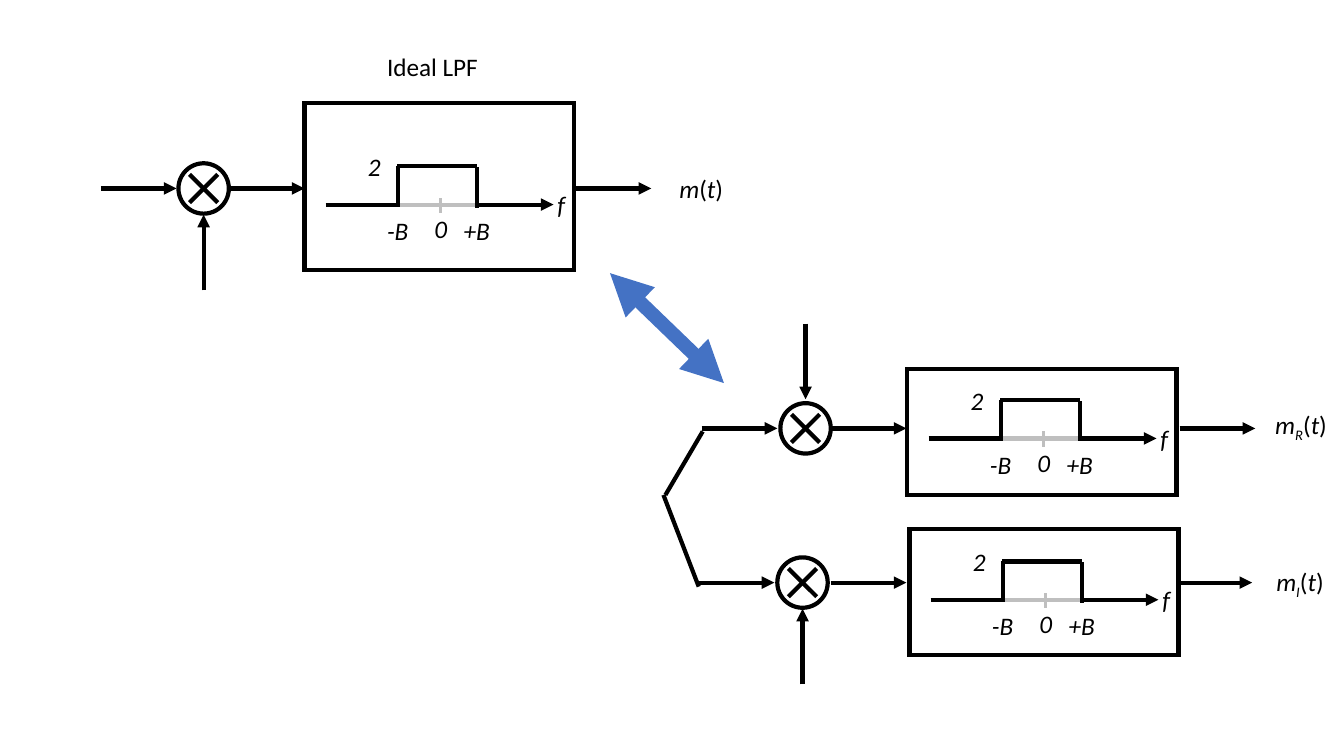
from dataclasses import dataclass

from lxml import etree
from pptx import Presentation
from pptx import util as u
from pptx.dml.color import RGBColor
from pptx.enum import shapes, text
from pptx.oxml.ns import qn

BLACK, GRAY, BLUE = "000000", "BFBFBF", "4472C4"
ARROW_LENGTH = 0.75
TEXT_HEIGHT = 0.4
MIXER_RADIUS = 0.25
CROSS_REACH = 0.14
FILTER_WIDTH = 2.67

Point = tuple[float, float]


@dataclass
class Span:
    text: str
    italic: bool = True
    subscript: bool = False


@dataclass
class Label:
    left: float
    top: float
    width: float
    spans: list[Span]
    wrap: bool = False


@dataclass
class Stroke:
    start: Point
    end: Point
    color: str = BLACK
    weight: float = 3
    head: bool = False
    tail: bool = False


@dataclass
class Filter:
    left: float
    top: float
    height: float
    axis_y: float


@dataclass
class Channel:
    """One mixer, its low-pass filter and the arrows along signal_y."""
    signal_y: float
    input_x: float
    mixer_x: float
    link_x: float
    output_x: float
    carrier_y: float
    carrier_step: float
    lowpass: Filter
    output: Label


def message(subscript: str = "") -> list[Span]:
    index = [Span(subscript, subscript=True)] if subscript else []
    return [Span("m"), *index, Span("(", False), Span("t"), Span(")", False)]


# Offsets from the filter's left edge and its frequency axis
RESPONSE_STROKES = [
    Stroke((0.21, 0), (2.47, 0), tail=True),
    Stroke((0.95, 0), (1.73, 0), GRAY),
    Stroke((1.35, 0.08), (1.35, -0.07), GRAY, 2),
    Stroke((0.93, -0.38), (0.93, 0.01)),
    Stroke((0.92, -0.38), (1.71, -0.38)),
    Stroke((1.71, -0.37), (1.71, 0.03)),
]
RESPONSE_LABELS = [
    Label(1.19, 0.04, 0.33, [Span("0")]),
    Label(1.48, 0.06, 0.46, [Span("+B")]),
    Label(0.72, 0.06, 0.42, [Span("-B")]),
    Label(2.41, -0.2, 0.28, [Span("f")]),
    Label(0.53, -0.58, 0.33, [Span("2")]),
]

CHANNELS = [
    Channel(1.87, 1, 2.02, 2.27, 5.71, 2.88, -ARROW_LENGTH,
            Filter(3.02, 1.02, 1.66, 2.03),
            Label(6.64, 1.67, 0.64, message())),
    Channel(4.25, 6.96, 7.99, 8.24, 11.7, 3.21, ARROW_LENGTH,
            Filter(9, 3.66, 1.25, 4.35),
            Label(12.55, 4.01, 0.73, message("R"), True)),
    Channel(5.78, 6.93, 7.96, 8.24, 11.67, 6.79, -ARROW_LENGTH,
            Filter(9.02, 5.25, 1.25, 5.95),
            Label(12.56, 5.57, 0.68, message("I"), True)),
]

EQUIVALENCE = Stroke((6.05, 2.71), (7.18, 3.8), BLUE, 10, head=True, tail=True)
SPLITTER = [Stroke((6.6, 4.91), (6.97, 4.28)), Stroke((6.93, 5.82), (6.58, 4.91))]


def rgb(color: str) -> RGBColor:
    return RGBColor.from_string(color)


def draw_stroke(page, stroke: Stroke, dx: float = 0, dy: float = 0) -> None:
    (x1, y1), (x2, y2) = stroke.start, stroke.end
    connector = page.shapes.add_connector(
        shapes.MSO_CONNECTOR.STRAIGHT, u.Inches(x1 + dx), u.Inches(y1 + dy),
        u.Inches(x2 + dx), u.Inches(y2 + dy))
    connector.line.color.rgb = rgb(stroke.color)
    connector.line.width = u.Pt(stroke.weight)
    outline = connector.line._get_or_add_ln()
    etree.SubElement(outline, qn("a:miter"), lim="800000")
    for end, shown in (("a:headEnd", stroke.head), ("a:tailEnd", stroke.tail)):
        if shown:
            etree.SubElement(outline, qn(end), type="triangle")
    etree.SubElement(connector._element.spPr, qn("a:effectLst"))


def draw_arrow(page, x: float, y: float, step_x: float = 0, step_y: float = 0) -> None:
    draw_stroke(page, Stroke((x, y), (x + step_x, y + step_y), tail=True))


def draw_outline(page, kind, left: float, top: float, width: float, height: float) -> None:
    shape = page.shapes.add_shape(
        kind, u.Inches(left), u.Inches(top), u.Inches(width), u.Inches(height))
    shape.shadow.inherit = False
    shape.fill.background()
    shape.line.color.rgb = rgb(BLACK)
    shape.line.width = u.Pt(3)
    etree.SubElement(shape.line._get_or_add_ln(), qn("a:miter"), lim="800000")


def draw_label(page, label: Label, dx: float = 0, dy: float = 0) -> None:
    box = page.shapes.add_textbox(
        u.Inches(label.left + dx), u.Inches(label.top + dy),
        u.Inches(label.width), u.Inches(TEXT_HEIGHT))
    frame = box.text_frame
    frame.word_wrap = label.wrap
    frame.auto_size = text.MSO_AUTO_SIZE.SHAPE_TO_FIT_TEXT
    para = frame.paragraphs[0]
    for span in label.spans:
        run = para.add_run()
        run.text = span.text
        run.font.name = "Calibri"
        run.font.size = u.Pt(18)
        run.font.italic = span.italic
        run.font.color.rgb = rgb(BLACK)
        if span.subscript:
            run._r.get_or_add_rPr().set("baseline", "-25000")


def draw_mixer(page, x: float, y: float) -> None:
    draw_outline(page, shapes.MSO_SHAPE.OVAL, x - MIXER_RADIUS, y - MIXER_RADIUS,
                 2 * MIXER_RADIUS, 2 * MIXER_RADIUS)
    for reach in (CROSS_REACH, -CROSS_REACH):
        draw_stroke(page, Stroke((-reach, -CROSS_REACH), (reach, CROSS_REACH)), x, y)


def draw_filter(page, lowpass: Filter) -> None:
    draw_outline(page, shapes.MSO_SHAPE.RECTANGLE, lowpass.left, lowpass.top,
                 FILTER_WIDTH, lowpass.height)
    for stroke in RESPONSE_STROKES:
        draw_stroke(page, stroke, lowpass.left, lowpass.axis_y)
    for label in RESPONSE_LABELS:
        draw_label(page, label, lowpass.left, lowpass.axis_y)


def draw_channel(page, channel: Channel) -> None:
    draw_mixer(page, channel.mixer_x, channel.signal_y)
    draw_arrow(page, channel.mixer_x, channel.carrier_y, step_y=channel.carrier_step)
    draw_filter(page, channel.lowpass)
    for x in (channel.input_x, channel.link_x, channel.output_x):
        draw_arrow(page, x, channel.signal_y, step_x=ARROW_LENGTH)
    draw_label(page, channel.output)


def main() -> None:
    deck = Presentation()
    deck.slide_width, deck.slide_height = u.Inches(13.33), u.Inches(7.5)
    page = deck.slides.add_slide(deck.slide_layouts[6])
    for channel in CHANNELS:
        draw_channel(page, channel)
    draw_label(page, Label(3.74, 0.46, 1.11, [Span("Ideal LPF", False)]))
    for stroke in (EQUIVALENCE, *SPLITTER):
        draw_stroke(page, stroke)
    deck.save("out.pptx")


if __name__ == "__main__":
    main()
